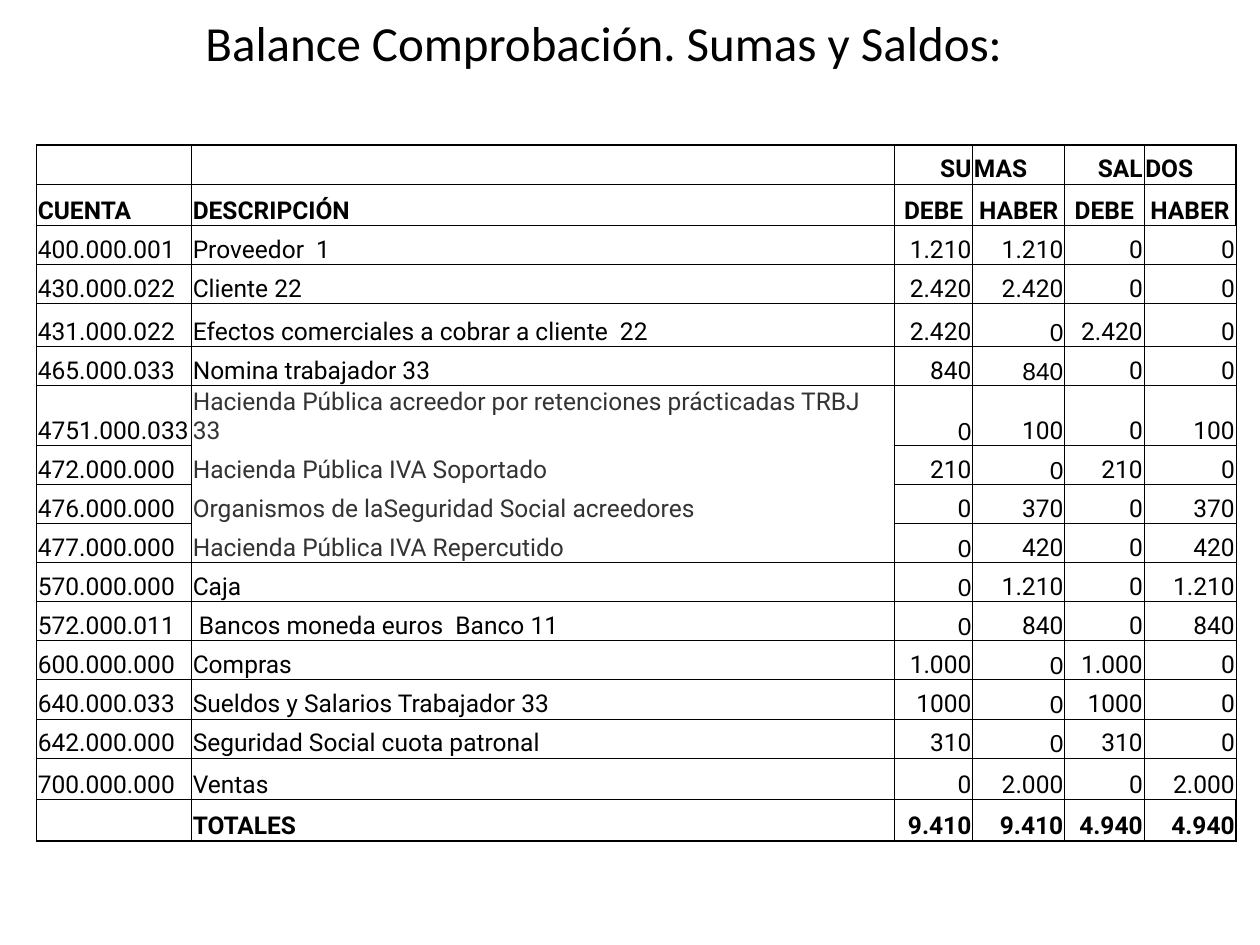
"""Build a trial balance slide with one table of sums and balances."""
from lxml import etree
from pptx import Presentation
from pptx import util as u
from pptx.dml.color import RGBColor
from pptx.enum import text
from pptx.oxml import ns

BLACK = RGBColor(0, 0, 0)
GREY = RGBColor(0x33, 0x33, 0x33)
LEFT, CENTER, RIGHT = text.PP_ALIGN.LEFT, text.PP_ALIGN.CENTER, text.PP_ALIGN.RIGHT

TITLE = "Balance Comprobación. Sumas y Saldos:"
ROWS = [
    ("", "", "SU", "MAS", "SAL", "DOS"),
    ("CUENTA", "DESCRIPCIÓN", "DEBE", "HABER", "DEBE", "HABER"),
    ("400.000.001", "Proveedor  1", "1.210", "1.210", "0", "0"),
    ("430.000.022", "Cliente 22", "2.420", "2.420", "0", "0"),
    ("431.000.022", "Efectos comerciales a cobrar a cliente  22", "2.420", "0", "2.420", "0"),
    ("465.000.033", "Nomina trabajador 33", "840", "840", "0", "0"),
    ("4751.000.033", "Hacienda Pública acreedor por retenciones prácticadas TRBJ 33",
     "0", "100", "0", "100"),
    ("472.000.000", "Hacienda Pública IVA Soportado", "210", "0", "210", "0"),
    ("476.000.000", "Organismos de laSeguridad Social acreedores", "0", "370", "0", "370"),
    ("477.000.000", "Hacienda Pública IVA Repercutido", "0", "420", "0", "420"),
    ("570.000.000", "Caja", "0", "1.210", "0", "1.210"),
    ("572.000.011", " Bancos moneda euros  Banco 11", "0", "840", "0", "840"),
    ("600.000.000", "Compras", "1.000", "0", "1.000", "0"),
    ("640.000.033", "Sueldos y Salarios Trabajador 33", "1000", "0", "1000", "0"),
    ("642.000.000", "Seguridad Social cuota patronal", "310", "0", "310", "0"),
    ("700.000.000", "Ventas", "0", "2.000", "0", "2.000"),
    ("", "TOTALES", "9.410", "9.410", "4.940", "4.940"),
]
COL_WIDTHS = (1.23, 5.58, 0.62, 0.73, 0.63, 0.73)
ROW_HEIGHT = 0.31
TALL_ROWS = {1: 0.33, 4: 0.34, 15: 0.33, 16: 0.33}
ARIAL_COL = {4: 3, 5: 3, 6: 2, 7: 3, 9: 2, 10: 2, 11: 2, 12: 3, 13: 3, 14: 3}
TAX_ROWS = range(6, 10)
TOTAL = len(ROWS) - 1
LAST_COL = len(COL_WIDTHS) - 1
THICK_RULES = (0, 2, TOTAL, TOTAL + 1)


def style_text(p, font, size, color, align, bold=False):
    p.alignment = align
    for r in p.runs:
        r.font.name, r.font.size, r.font.bold = font, u.Pt(size), bold
        r.font.color.rgb = color


def border_widths(row, col):
    header = row < 2
    thick = {
        "L": (header and col % 2 == 0) or (row == TOTAL and col == 0),
        "R": (header and col % 2 == 1) or (row == TOTAL and col == LAST_COL),
        "T": row in THICK_RULES,
        "B": row + 1 in THICK_RULES,
    }
    widths = {side: 1 if on else 0.5 for side, on in thick.items()}
    if col == 1 and row in TAX_ROWS:
        if row > TAX_ROWS[0]:
            widths["T"] = 0
        if row < TAX_ROWS[-1]:
            widths["B"] = 0
    return widths


def draw_borders(cell, widths):
    tc_pr = cell._tc.get_or_add_tcPr()
    for side, width in widths.items():
        ln = etree.SubElement(tc_pr, ns.qn(f"a:ln{side}"), w=str(int(u.Pt(width))))
        if width:
            fill = etree.SubElement(ln, ns.qn("a:solidFill"))
            etree.SubElement(fill, ns.qn("a:srgbClr"), val=str(BLACK))
        else:
            etree.SubElement(ln, ns.qn("a:noFill"))


def alignment(row, col):
    if col < 2 or (row == 0 and col % 2):
        return LEFT
    return CENTER if row == 1 else RIGHT


def fill_cell(cell, row, col, value):
    cell.margin_left = cell.margin_right = cell.margin_top = u.Inches(0.01)
    cell.margin_bottom = 0
    cell.vertical_anchor = text.MSO_ANCHOR.BOTTOM
    cell.text_frame.text = value
    font = "Arial" if ARIAL_COL.get(row) == col else "Roboto"
    color = GREY if col == 1 and row in TAX_ROWS else BLACK
    style_text(cell.text_frame.paragraphs[0], font, 14, color,
               alignment(row, col), bold=row < 2 or row == TOTAL)
    draw_borders(cell, border_widths(row, col))
    cell.fill.background()


def add_title(s):
    sp = s.shapes.add_textbox(u.Inches(0.5), 0, u.Inches(8.58), u.Inches(0.67))
    tf = sp.text_frame
    tf.word_wrap = True
    tf.vertical_anchor = text.MSO_ANCHOR.MIDDLE
    tf.text = TITLE
    style_text(tf.paragraphs[0], "Calibri", 28, BLACK, CENTER)


def add_balance(s):
    heights = [TALL_ROWS.get(i, ROW_HEIGHT) for i in range(len(ROWS))]
    table = s.shapes.add_table(
        len(ROWS), len(COL_WIDTHS), u.Inches(0.29), u.Inches(1.15),
        u.Inches(sum(COL_WIDTHS)), u.Inches(sum(heights))).table
    table.first_row = table.horz_banding = False
    for column, width in zip(table.columns, COL_WIDTHS):
        column.width = u.Inches(width)
    for i, (values, height) in enumerate(zip(ROWS, heights)):
        table.rows[i].height = u.Inches(height)
        for j, value in enumerate(values):
            fill_cell(table.cell(i, j), i, j, value)


def main():
    prs = Presentation()
    prs.slide_width, prs.slide_height = u.Inches(10), u.Inches(7.5)
    s = prs.slides.add_slide(prs.slide_layouts[6])
    add_title(s)
    add_balance(s)
    prs.save("out.pptx")


if __name__ == "__main__":
    main()
